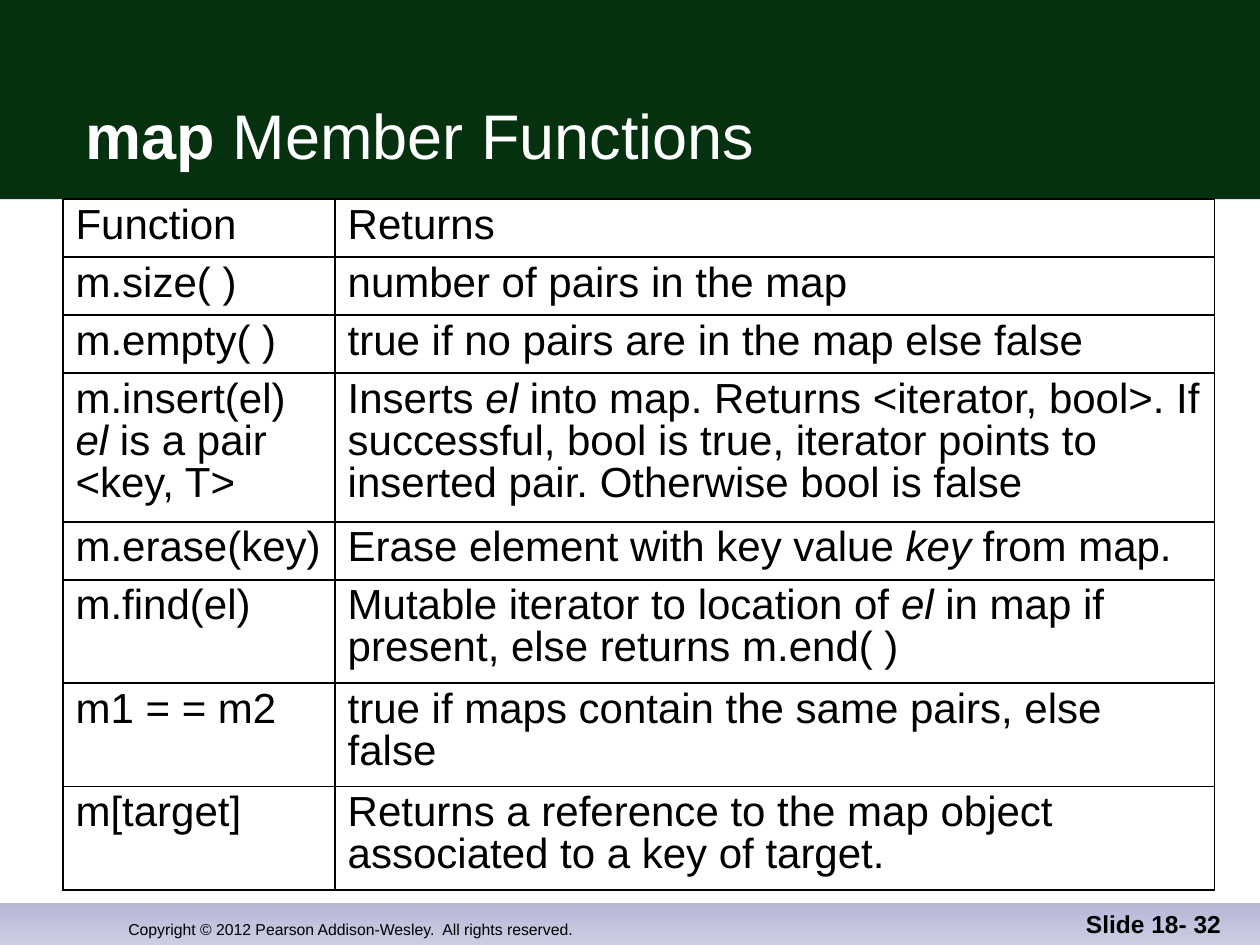
import pptx
import pptx.util
import pptx.dml.color
import pptx.enum.shapes
import pptx.enum.text
import pptx.oxml
from lxml import etree
from pptx.util import Inches, Pt

COLORS = {
    "header": "05310F",
    "footer_top": "B7B8D7",
    "footer_bottom": "CCCDE3",
    "title": "FFFFFF",
    "text": "000000",
    "border": "000000",
}
FONT = "Arial"
NS = "http://schemas.openxmlformats.org/drawingml/2006/main"

# Asterisks enclose the emphasised words.
ROWS = [
    ("Function", "Returns"),
    ("m.size( )", "number of pairs in the map"),
    ("m.empty( )", "true if no pairs are in the map else false"),
    ("m.insert(el)\n*el* is a pair\n<key, T>",
     "Inserts *el* into map. Returns <iterator, bool>. If successful, bool is "
     "true, iterator points to inserted pair. Otherwise bool is false"),
    ("m.erase(key)", "Erase element with key value *key* from map."),
    ("m.find(el)",
     "Mutable iterator to location of *el* in map if present, else returns m.end( )"),
    ("m1 = = m2", "true if maps contain the same pairs, else false"),
    ("m[target]",
     "Returns a reference to the map object associated to a key of target."),
]
COL_WIDTHS = [2.16, 6.98]
ROW_HEIGHTS = [0.46, 0.46, 0.46, 1.18, 0.46, 0.82, 0.81, 0.82]


def rgb(name):
    return pptx.dml.color.RGBColor.from_string(COLORS[name])


def write(p, text, size, color="text", bold=False, emphasis="italic"):
    """Fill a paragraph, giving the words between asterisks the emphasis."""
    for i, part in enumerate(text.split("*")):
        if not part:
            continue
        r = p.add_run()
        r.text = part
        r.font.name = FONT
        r.font.size = Pt(size)
        r.font.bold = bold
        r.font.color.rgb = rgb(color)
        if i % 2:
            setattr(r.font, emphasis, True)


def add_band(s, left, top, width, height):
    sp = s.shapes.add_shape(pptx.enum.shapes.MSO_SHAPE.RECTANGLE,
                            left, top, width, height)
    sp.shadow.inherit = False
    sp.line.fill.background()
    return sp


def add_header(s, left, top, width, height):
    band = add_band(s, left, top, width, height)
    band.fill.solid()
    band.fill.fore_color.rgb = rgb("header")
    # The title comes first in the layout, so lift it above the band.
    title = s.shapes.title
    band._element.addnext(title._element)
    title.left, title.top = left + Inches(0.58), top + Inches(0.33)
    title.width, title.height = Inches(9.08), Inches(1.09)
    tf = title.text_frame
    tf.auto_size = pptx.enum.text.MSO_AUTO_SIZE.NONE
    tf.vertical_anchor = pptx.enum.text.MSO_ANCHOR.BOTTOM
    p = tf.paragraphs[0]
    p.alignment = pptx.enum.text.PP_ALIGN.LEFT
    write(p, "*map* Member Functions", 36, "title", emphasis="bold")


def add_label(s, left, top, width, text, size, align, bold=False):
    tf = s.shapes.add_textbox(left, top, width, Inches(0.5)).text_frame
    tf.word_wrap = True
    tf.vertical_anchor = pptx.enum.text.MSO_ANCHOR.BOTTOM
    p = tf.paragraphs[0]
    p.alignment = align
    write(p, text, size, bold=bold)


def add_footer(s, left, top, width, height):
    band = add_band(s, left, top, width, height)
    band.fill.gradient()
    band.fill.gradient_angle = 270
    for stop, name in zip(band.fill.gradient_stops, ("footer_top", "footer_bottom")):
        stop.color.rgb = rgb(name)
    label_top = top + height - Inches(0.5)
    align = pptx.enum.text.PP_ALIGN
    add_label(s, left + Inches(0.92), label_top, Inches(4.92),
              "Copyright © 2012 Pearson Addison-Wesley.  All rights reserved.",
              9, align.LEFT)
    add_label(s, left + Inches(7.71), label_top, Inches(2.08),
              "Slide 18- 32", 14, align.RIGHT, bold=True)


def set_borders(cell):
    tcPr = cell._tc.get_or_add_tcPr()
    for side in ("lnL", "lnR", "lnT", "lnB"):
        tcPr.append(pptx.oxml.parse_xml(
            f'<a:{side} xmlns:a="{NS}" w="{Pt(1.08)}"><a:solidFill>'
            f'<a:srgbClr val="{COLORS["border"]}"/></a:solidFill></a:{side}>'))


def add_function_table(s, left, top, width, height):
    table = s.shapes.add_table(len(ROWS), len(COL_WIDTHS),
                               left, top, width, height).table
    table.first_row = table.horz_banding = False
    for col, w in zip(table.columns, COL_WIDTHS):
        col.width = Inches(w)
    for row, h, texts in zip(table.rows, ROW_HEIGHTS, ROWS):
        row.height = Inches(h)
        for cell, text in zip(row.cells, texts):
            set_borders(cell)
            cell.fill.background()
            tf = cell.text_frame
            for i, line in enumerate(text.split("\n")):
                p = tf.add_paragraph() if i else tf.paragraphs[0]
                p.line_spacing = 0.9
                write(p, line, 24)


def main():
    prs = pptx.Presentation()
    prs.slide_width, prs.slide_height = Inches(10), Inches(7.5)
    s = prs.slides.add_slide(prs.slide_layouts[5])
    add_header(s, 0, 0, prs.slide_width, Inches(1.58))
    add_footer(s, 0, Inches(7.17), prs.slide_width, Inches(0.33))
    add_function_table(s, Inches(0.5), Inches(1.58),
                       Inches(sum(COL_WIDTHS)), Inches(sum(ROW_HEIGHTS)))
    prs.save("out.pptx")


if __name__ == "__main__":
    main()
